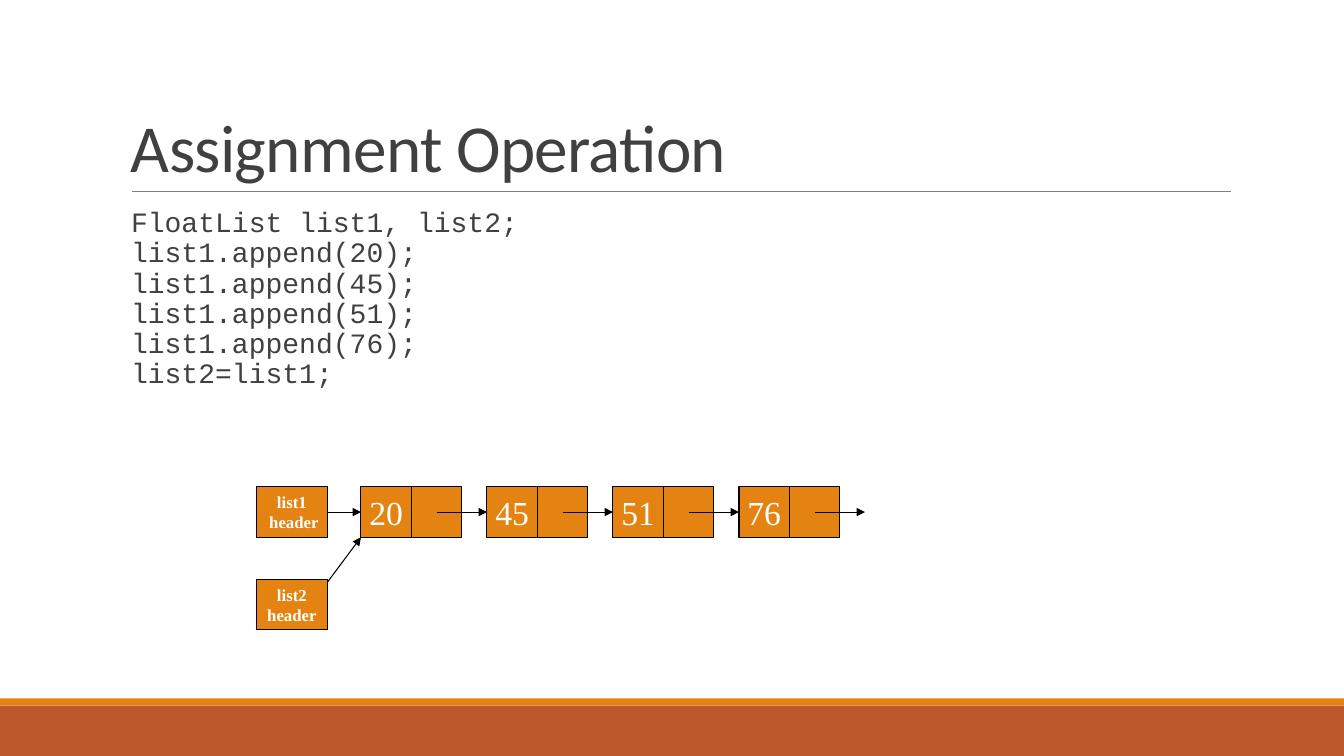
import pptx
import pptx.util
import pptx.dml.color
import pptx.enum.shapes
import pptx.enum.text
import pptx.oxml.ns
import lxml.etree
from dataclasses import dataclass

Inches, Pt = pptx.util.Inches, pptx.util.Pt
RGB = pptx.dml.color.RGBColor.from_string
ALIGN = pptx.enum.text.PP_ALIGN
ANCHOR = pptx.enum.text.MSO_ANCHOR
RIGHT, LEFT = 3, 1  # connection sites of a rectangle


@dataclass(frozen=True)
class Theme:
    accent: str = "E48312"
    footer: str = "BD582C"
    rule: str = "808080"
    ink: str = "404040"
    outline: str = "000000"
    light: str = "FFFFFF"
    title_font: str = "Calibri"
    code_font: str = "Courier New"
    node_font: str = "Times New Roman"
    title_size: int = 48
    code_size: int = 20
    value_size: int = 24
    header_size: int = 12
    line_width: float = 0.75
    rule_width: float = 0.5


def add_xml(parent, tag, **attrs):
    return lxml.etree.SubElement(parent, pptx.oxml.ns.qn(tag), attrs)


def write_text(tf, lines, *, font, size, color, bold=False, align=ALIGN.LEFT,
               anchor=ANCHOR.TOP, wrap=True, line_spacing=None, tracking=None):
    """Fill a text frame with one paragraph per line."""
    tf.word_wrap = wrap
    tf.vertical_anchor = anchor
    for i, line in enumerate(lines):
        p = tf.add_paragraph() if i else tf.paragraphs[0]
        p.alignment = align
        if line_spacing:
            p.line_spacing = line_spacing
        r = p.add_run()
        r.text = line
        r.font.name, r.font.size, r.font.bold = font, Pt(size), bold
        r.font.color.rgb = RGB(color)
        if tracking:
            r.font._element.set("spc", str(round(tracking * 100)))


class SlideBuilder:
    def __init__(self, slide, theme):
        self.s, self.theme = slide, theme

    def text(self, x, y, w, h, lines, **fmt):
        sp = self.s.shapes.add_textbox(Inches(x), Inches(y), Inches(w), Inches(h))
        write_text(sp.text_frame, lines, **fmt)
        return sp

    def rect(self, x, y, w, h, fill, line=None):
        sp = self.s.shapes.add_shape(pptx.enum.shapes.MSO_SHAPE.RECTANGLE,
                                     Inches(x), Inches(y), Inches(w), Inches(h))
        sp.shadow.inherit = False
        sp.fill.solid()
        sp.fill.fore_color.rgb = RGB(fill)
        if line:
            sp.line.color.rgb = RGB(line)
            sp.line.width = Pt(self.theme.line_width)
        else:
            sp.line.fill.background()
        return sp

    def box(self, x, y, w, h, lines=(), size=None, bold=False):
        t = self.theme
        sp = self.rect(x, y, w, h, t.accent, t.outline)
        if lines:
            write_text(sp.text_frame, lines, font=t.node_font, size=size, bold=bold,
                       color=t.light, align=ALIGN.CENTER, anchor=ANCHOR.MIDDLE,
                       wrap=False)
        return sp

    def line(self, x1, y1, x2, y2, color, width):
        c = self.s.shapes.add_connector(pptx.enum.shapes.MSO_CONNECTOR.STRAIGHT,
                                        Inches(x1), Inches(y1), Inches(x2), Inches(y2))
        c.line.color.rgb = RGB(color)
        c.line.width = Pt(width)
        add_xml(c._element.spPr, "a:effectLst")
        return c

    def arrow(self, x1, y1, x2, y2, start=None, end=None):
        c = self.line(x1, y1, x2, y2, self.theme.outline, self.theme.line_width)
        add_xml(c.line._get_or_add_ln(), "a:tailEnd", type="triangle")
        if start is not None:
            c.begin_connect(start, RIGHT)
        if end is not None:
            c.end_connect(end, LEFT)
        return c

    def code(self, x, y, w, h, lines):
        t = self.theme
        sp = self.text(x, y, w, h, lines, font=t.code_font, size=t.code_size,
                       color=t.ink, line_spacing=0.9)
        tf = sp.text_frame
        tf.margin_left = tf.margin_right = 0
        # Blank bullet in the theme font with a hanging indent
        for p in tf.paragraphs:
            pPr = p._p.get_or_add_pPr()
            pPr.set("marL", str(Inches(0.1)))
            pPr.set("indent", str(Inches(-0.1)))
            add_xml(add_xml(pPr, "a:buClr"), "a:srgbClr", val=t.accent)
            add_xml(pPr, "a:buFont", typeface=t.title_font)
            add_xml(pPr, "a:buChar", char=" ")


def main():
    prs = pptx.Presentation()
    prs.slide_width, prs.slide_height = Inches(13.33), Inches(7.5)
    t = Theme()
    b = SlideBuilder(prs.slides.add_slide(prs.slide_layouts[6]), t)
    values = [20, 45, 51, 76]

    # Footer bands and title rule
    b.rect(0, 7, 13.33, 0.5, t.footer)
    b.rect(0, 6.93, 13.33, 0.07, t.accent)
    b.line(1.31, 1.9, 12.21, 1.9, t.rule, t.rule_width)

    # Title and code
    b.text(1.2, 0.31, 11, 1.59, ["Assignment Operation"], font=t.title_font,
           size=t.title_size, color=t.ink, anchor=ANCHOR.BOTTOM,
           line_spacing=0.85, tracking=-0.5)
    appends = [f"list1.append({v});" for v in values]
    b.code(1.2, 2.02, 11, 4.4,
           ["FloatList list1, list2;", *appends, "list2=list1;"])

    # Linked nodes: a value cell and a pointer cell each
    cell, pitch, left, top = 0.5, 1.25, 3.58, 4.83
    mid = top + cell / 2
    node_x = [left + i * pitch for i in range(len(values))]
    nodes = []
    for x, value in zip(node_x, values):
        nodes.append(b.box(x, top, cell, cell, [str(value)], t.value_size))
        b.box(x + cell, top, cell, cell)
    for x, following in zip(node_x, nodes[1:] + [None]):
        start = x + 1.5 * cell
        b.arrow(start, mid, start + cell, mid, end=following)

    # List headers, both pointing at the first node
    header_x, header_w, header2_y = 2.54, 0.71, 5.75
    b.arrow(3.08, header2_y + cell / 2, left, top + cell)
    headers = [b.box(header_x, y, header_w, cell, lines, t.header_size, bold=True)
               for y, lines in [(top, ["list1", " header"]),
                                (header2_y, ["list2", "header"])]]
    b.arrow(header_x + header_w, mid, left, mid, start=headers[0], end=nodes[0])

    prs.save("out.pptx")


if __name__ == "__main__":
    main()
